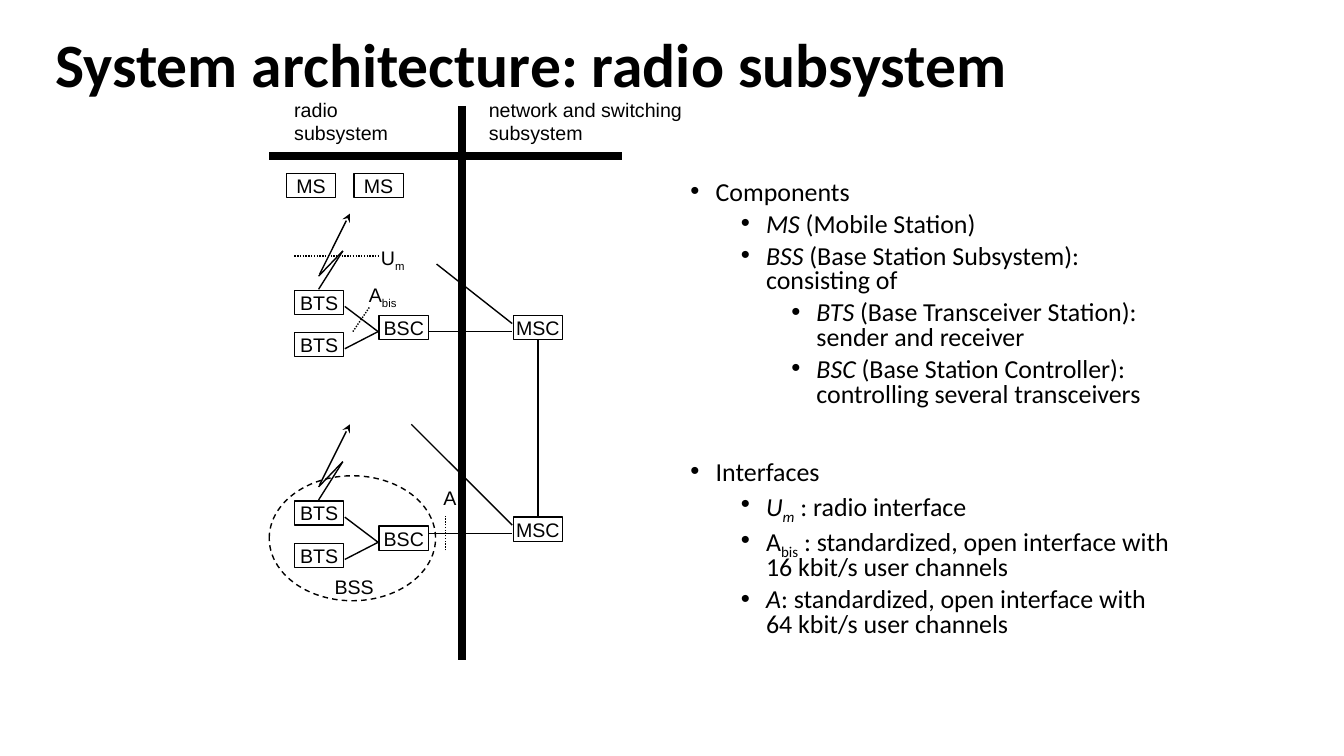
from lxml import etree
from pptx import Presentation
from pptx.dml.color import RGBColor
from pptx.enum.dml import MSO_LINE
from pptx.enum.shapes import MSO_CONNECTOR, MSO_SHAPE
from pptx.enum.text import MSO_ANCHOR, PP_ALIGN
from pptx.oxml.ns import qn
from pptx.util import Inches, Pt

STRAIGHT = MSO_CONNECTOR.STRAIGHT
RECT, OVAL = MSO_SHAPE.RECTANGLE, MSO_SHAPE.OVAL
DOT, DASH = MSO_LINE.ROUND_DOT, MSO_LINE.DASH
BOTTOM, MIDDLE = MSO_ANCHOR.BOTTOM, MSO_ANCHOR.MIDDLE
CENTER = PP_ALIGN.CENTER
BLACK = "000000"
BOX_W, BOX_H = 0.49, 0.24
CELL_GAP, MSC_GAP = 2.09, 2

POINTS = [
    (0, 0, [("Components", "")]),
    (1, 5, [("MS", "i"), (" (Mobile Station)", "")]),
    (1, 5, [("BSS", "i"), (" (Base Station Subsystem):\nconsisting of", "")]),
    (2, 5, [("BTS", "i"), (" (Base Transceiver Station):\nsender and receiver", "")]),
    (2, 5, [("BSC", "i"),
            (" (Base Station Controller):\ncontrolling several transceivers", "")]),
    (0, 38, [("Interfaces", "")]),
    (1, 5, [("U", "i"), ("m", "is"), (" : radio interface", "")]),
    (1, 5, [("A", ""), ("bis", "s"),
            (" : standardized, open interface with\n16 kbit/s user channels", "")]),
    (1, 5, [("A", "i"),
            (": standardized, open interface with\n64 kbit/s user channels", "")]),
]
LABELS = [
    (3.68, 2.39, 0.65, 0.34, [("U", ""), ("m", "s")]),
    (3.56, 2.76, 0.65, 0.34, [("A", ""), ("bis", "s")]),
    (4.3, 4.77, 0.36, 0.34, [("A", "")]),
    (3.22, 5.65, 0.69, 0.34, [("BSS", "")]),
    (2.82, 0.92, 1.27, 0.57, [("radio\nsubsystem", "")]),
    (4.75, 0.92, 2.33, 0.57, [("network and switching\nsubsystem", "")]),
]


def color(code):
    """Turn a hex string into a colour."""
    return RGBColor.from_string(code)


def style(para, size, face, bold=False):
    """Set the font of a whole paragraph."""
    font = para.font
    font.size, font.name, font.bold = Pt(size), face, bold
    font.color.rgb = color(BLACK)


def fill_runs(para, parts):
    """Add runs, where i marks italic and s marks subscript."""
    for text, marks in parts:
        for num, piece in enumerate(text.split("\n")):
            if num:
                para.add_line_break()
            run = para.add_run()
            run.text = piece
            if "i" in marks:
                run.font.italic = True
            if "s" in marks:
                run.font._element.set("baseline", "-25000")


def add_text(slide, left, top, width, height):
    """Add a wrapping text box and return its frame."""
    area = slide.shapes.add_textbox(*map(Inches, (left, top, width, height)))
    area.text_frame.word_wrap = True
    return area.text_frame


def add_label(slide, left, top, width, height, parts):
    """Add a diagram label."""
    para = add_text(slide, left, top, width, height).paragraphs[0]
    style(para, 14, "Arial")
    fill_runs(para, parts)


def add_title(slide, text):
    """Add the slide title."""
    frame = add_text(slide, 0.45, 0.22, 12.42, 0.83)
    frame.vertical_anchor = BOTTOM
    para = frame.paragraphs[0]
    para.line_spacing = 0.9
    style(para, 44, "Calibri", True)
    fill_runs(para, [(text, "")])


def add_list(slide, points):
    """Add the bullet list."""
    frame = add_text(slide, 6.75, 1.75, 5.83, 4.75)
    for num, (level, space, parts) in enumerate(points):
        para = frame.add_paragraph() if num else frame.paragraphs[0]
        para.level = level
        para.line_spacing, para.space_before = 0.8, Pt(space)
        props = para._p.get_or_add_pPr()
        props.set("marL", str(Inches(0.25 + 0.5 * level)))
        props.set("indent", str(Inches(-0.25)))
        etree.SubElement(props, qn("a:buFont"), typeface="Arial")
        etree.SubElement(props, qn("a:buChar"), char="•")
        style(para, 18.5, "Calibri")
        fill_runs(para, parts)


def add_line(slide, start, end, width=1, dash=None, arrow=False):
    """Add a straight line, with an arrowhead at its end if asked."""
    line = slide.shapes.add_connector(STRAIGHT, *map(Inches, (*start, *end)))
    line.line.color.rgb = color(BLACK)
    line.line.width = Pt(width)
    if dash:
        line.line.dash_style = dash
    if arrow:
        etree.SubElement(line.line._get_or_add_ln(), qn("a:tailEnd"), type="stealth")
    etree.SubElement(line._element.spPr, qn("a:effectLst"))
    return line


def add_shape(slide, kind, left, top, width, height):
    """Add an unfilled outline shape."""
    shape = slide.shapes.add_shape(kind, *map(Inches, (left, top, width, height)))
    shape.shadow.inherit = False
    shape.fill.background()
    shape.line.color.rgb = color(BLACK)
    shape.line.width = Pt(1)
    return shape


def add_box(slide, left, top, text):
    """Add a named network element."""
    box = add_shape(slide, RECT, left, top, BOX_W, BOX_H)
    frame = box.text_frame
    frame.margin_left = frame.margin_right = 0
    frame.margin_top = frame.margin_bottom = 0
    frame.word_wrap, frame.vertical_anchor = False, MIDDLE
    para = frame.paragraphs[0]
    para.alignment = CENTER
    style(para, 14, "Arial")
    fill_runs(para, [(text, "")])
    return box


def add_cell(slide, drop):
    """Add a radio link, two BTS and their BSC."""
    add_line(slide, (3.16, 2.87 + drop), (3.4, 2.49 + drop))
    add_line(slide, (3.4, 2.49 + drop), (3.16, 2.74 + drop))
    add_line(slide, (3.17, 2.72 + drop), (3.47, 2.12 + drop), arrow=True)
    for top in (2.88, 3.3):
        add_box(slide, 2.92, top + drop, "BTS")
        add_line(slide, (3.42, top + 0.16 + drop), (3.75, 3.29 + drop))
    add_box(slide, 3.76, 3.13 + drop, "BSC")


def main():
    """Build the slide."""
    deck = Presentation()
    deck.slide_width, deck.slide_height = Inches(13.33), Inches(7.5)
    slide = deck.slides.add_slide(deck.slide_layouts[6])
    add_title(slide, "System architecture: radio subsystem")
    add_list(slide, POINTS)
    add_line(slide, (4.58, 1.05), (4.58, 6.55), 6)
    add_line(slide, (2.67, 1.55), (6.17, 1.55), 6)
    for label in LABELS:
        add_label(slide, *label)
    for left in (2.84, 3.51):
        add_box(slide, left, 1.72, "MS")
    for num in range(2):
        add_cell(slide, num * CELL_GAP)
    add_shape(slide, OVAL, 2.67, 4.72, 1.65, 1.24).line.dash_style = DASH

    upper, lower = [add_box(slide, 5.09, 3.13 + num * MSC_GAP, "MSC")
                    for num in range(2)]
    trunk = add_line(slide, (5.33, 3.37), (5.33, 5.13))
    trunk.begin_connect(upper, 2)
    trunk.end_connect(lower, 0)
    for num, start in enumerate([(4.33, 2.62), (4.08, 4.21)]):
        drop = num * MSC_GAP
        add_line(slide, (4.25, 3.29 + drop), (5.08, 3.29 + drop))
        add_line(slide, (5.08, 3.21 + drop), start)
    for start, end in [((2.92, 2.54), (3.75, 2.54)),
                       ((3.5, 3.29), (3.67, 3.04)),
                       ((4.42, 5.46), (4.42, 5.12))]:
        add_line(slide, start, end, dash=DOT)
    deck.save("out.pptx")


if __name__ == "__main__":
    main()
